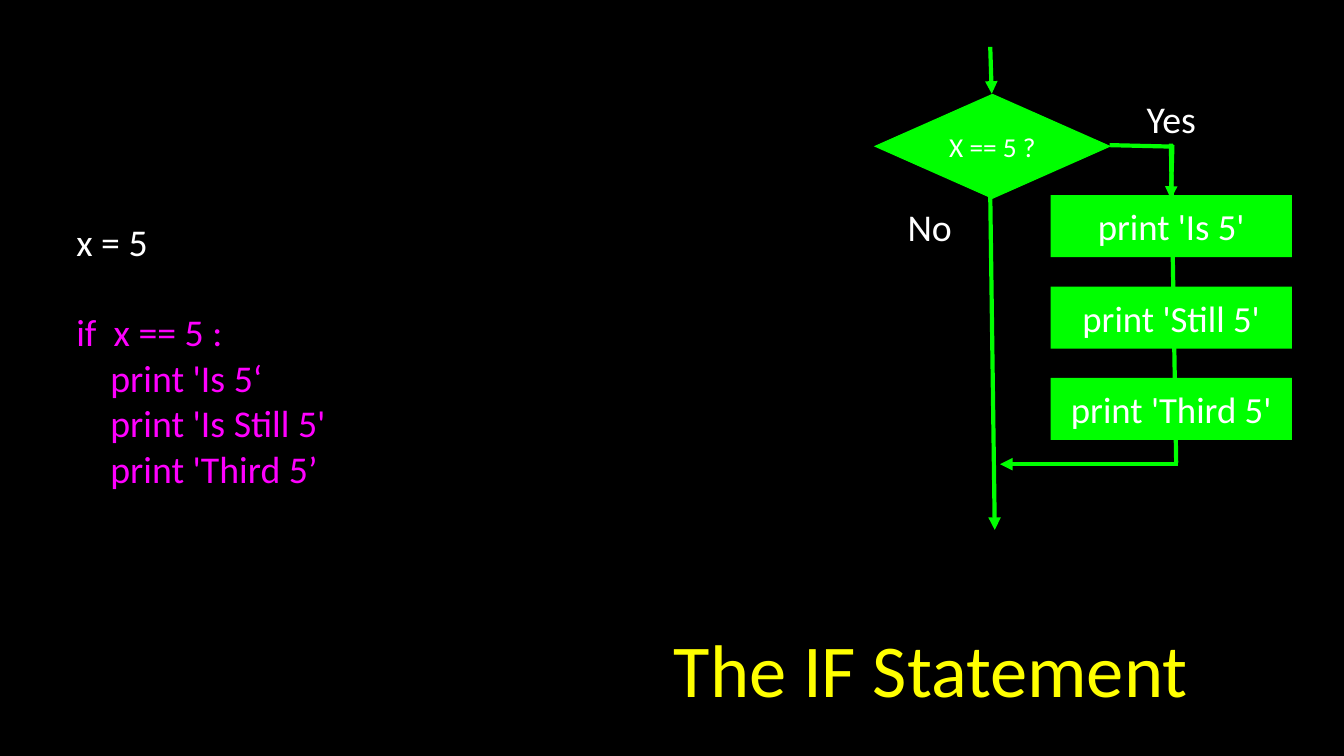
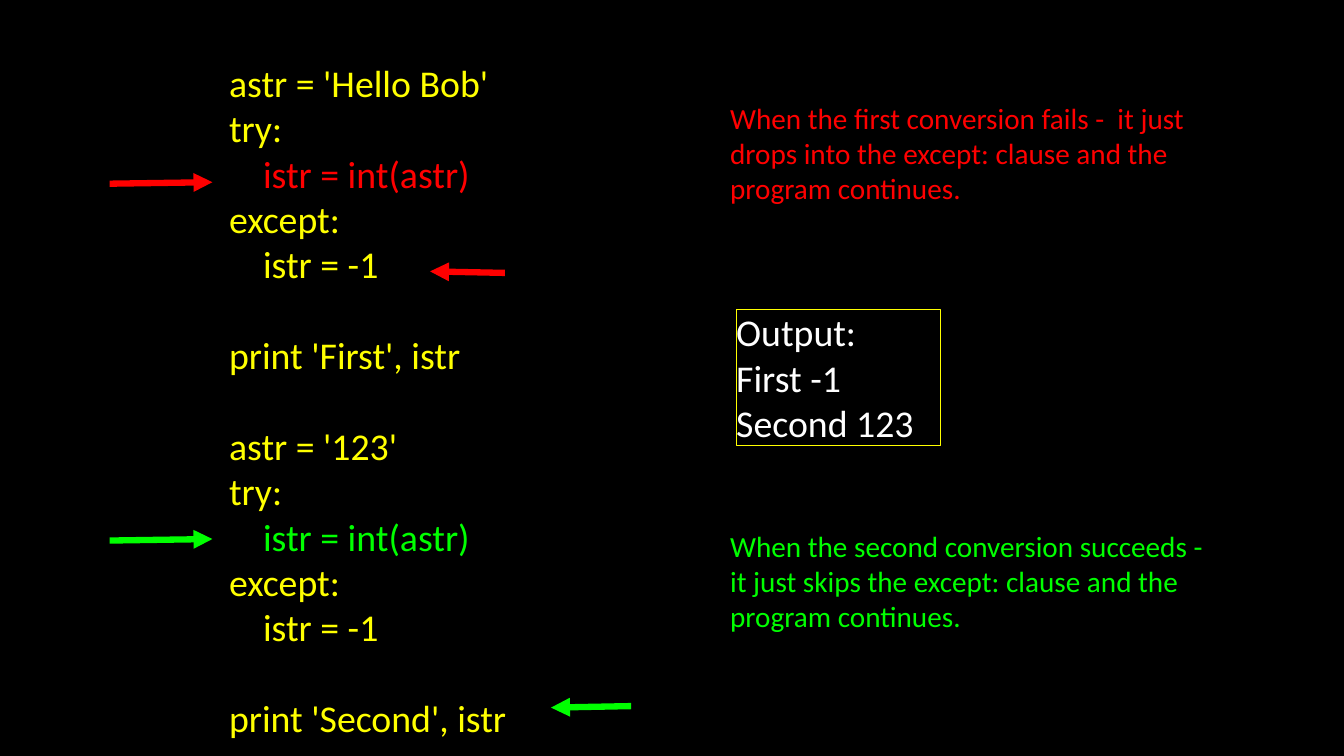
import pptx
import pptx.util
import pptx.dml.color
import pptx.enum.shapes
import pptx.enum.text
import pptx.oxml
import pptx.oxml.ns
from lxml import etree

PX = 9144
FONT = "Calibri"
CODE_SIZE = 36
NOTE_SIZE = 27.8
LINE_PITCH = 43.2
CODE_INDENT = 45

BLACK = pptx.dml.color.RGBColor(0, 0, 0)
WHITE = pptx.dml.color.RGBColor(255, 255, 255)
YELLOW = pptx.dml.color.RGBColor(255, 255, 0)
MAGENTA = pptx.dml.color.RGBColor(255, 0, 255)
GREEN = pptx.dml.color.RGBColor(0, 255, 0)
RED = pptx.dml.color.RGBColor(255, 0, 0)

SHAPES = pptx.enum.shapes.MSO_SHAPE
ANCHOR = pptx.enum.text.MSO_ANCHOR
ALIGN = pptx.enum.text.PP_ALIGN


def emu(*lengths):
    """Turn px lengths into EMU."""
    return [pptx.util.Emu(length * PX) for length in lengths]


def black_slide(deck):
    """Add a blank slide with the shared black background."""
    slide = deck.slides.add_slide(deck.slide_layouts[6])
    slide.background.fill.solid()
    slide.background.fill.fore_color.rgb = BLACK
    return slide


def write(shape, lines, size, align=ALIGN.LEFT, anchor=ANCHOR.MIDDLE, inset=0):
    """Fill a shape with (text, colour, indent level, blank lines before) lines."""
    frame = shape.text_frame
    frame.word_wrap = True
    frame.vertical_anchor = anchor
    frame.margin_left, frame.margin_top, frame.margin_right, frame.margin_bottom = emu(*[inset] * 4)
    for number, (text, color, level, gap) in enumerate(lines):
        paragraph = frame.add_paragraph() if number else frame.paragraphs[0]
        paragraph.alignment = align
        if level:
            paragraph._p.get_or_add_pPr().set("marL", str(level * CODE_INDENT * PX))
        if gap:
            paragraph.space_before = pptx.util.Pt(gap * LINE_PITCH)
        run = paragraph.add_run()
        run.text = text
        run.font.name = FONT
        run.font.size = pptx.util.Pt(size)
        run.font.color.rgb = color


def add_text(slide, box, lines, size, **layout):
    """Add a text box holding the given lines."""
    write(slide.shapes.add_textbox(*emu(*box)), lines, size, **layout)


def add_block(slide, kind, box, fill=None, outline=None):
    """Add a preset shape with an optional fill and outline."""
    block = slide.shapes.add_shape(kind, *emu(*box))
    block.shadow.inherit = False
    if fill is None:
        block.fill.background()
    else:
        block.fill.solid()
        block.fill.fore_color.rgb = fill
    if outline is None:
        block.line.fill.background()
    else:
        block.line.color.rgb = outline
        block.line.width = pptx.util.Pt(1)
    return block


def add_line(slide, origin, tip, tail, color, width, arrow=True):
    """Draw a line between two points of a region, with an arrowhead at the tip."""
    left, top = origin
    ends = emu(left + tip[0], top + tip[1], left + tail[0], top + tail[1])
    line = slide.shapes.add_connector(pptx.enum.shapes.MSO_CONNECTOR.STRAIGHT, *ends)
    line.line.color.rgb = color
    line.line.width = pptx.util.Pt(width)
    if arrow:
        head = etree.SubElement(line.line._get_or_add_ln(), pptx.oxml.ns.qn("a:headEnd"))
        head.set("type", "triangle")
    etree.SubElement(line._element.spPr, pptx.oxml.ns.qn("a:effectLst"))


def flowchart(slide, left, top):
    """Draw the decision, its two branches and the three print steps."""
    origin = (left, top)
    flows = [
        ((156, 62), (154, 0), True),
        ((160, 639), (154, 195), True),
        ((397, 132), (312, 130), False),
        ((393, 201), (395, 130), True),
        ((393, 128), (400, 550), False),
        ((167, 552), (402, 552), True),
    ]
    for tip, tail, arrow in flows:
        add_line(slide, origin, tip, tail, GREEN, 4, arrow)

    decision = add_block(slide, SHAPES.DIAMOND, (left, top + 62, 314, 139), GREEN)
    write(decision, [("X == 5 ?", WHITE, 0, 0)], 26, ALIGN.CENTER)
    for row, statement in enumerate(["print 'Is 5'", "print 'Still 5'", "print 'Third 5'"]):
        step = add_block(slide, SHAPES.RECTANGLE, (left + 234, top + 196 + 121 * row, 319, 82), GREEN)
        write(step, [(statement, WHITE, 0, 0)], 35, ALIGN.CENTER)
    for answer, x, y, width in [("Yes", 353, 64, 81), ("No", 40, 207, 68)]:
        add_text(slide, (left + x, top + y, width, 60), [(answer, WHITE, 0, 0)],
                 CODE_SIZE, align=ALIGN.CENTER)


def try_except_code(slide, left, top):
    """Write the two try blocks and the arrows that mark the executed lines."""
    code = []
    for value, label, color, gap in [("'Hello Bob'", "First", RED, 0), ("'123'", "Second", GREEN, 1)]:
        code += [
            (f"astr = {value}", YELLOW, 0, gap),
            ("try:", YELLOW, 0, 0),
            ("istr = int(astr)", color, 1, 0),
            ("except:", YELLOW, 0, 0),
            ("istr = -1", YELLOW, 1, 0),
            (f"print '{label}', istr", YELLOW, 0, 1),
        ]
    add_text(slide, (left + 158, top, 422, 960), code, CODE_SIZE, anchor=ANCHOR.BOTTOM)

    executed = [
        ((136, 222), (0, 224), RED),
        ((424, 340), (523, 342), RED),
        ((136, 694), (0, 696), GREEN),
        ((584, 917), (690, 915), GREEN),
    ]
    for tip, tail, color in executed:
        add_line(slide, (left, top), tip, tail, color, 6)


def outcome_column(slide, left, top):
    """Place the two explanations around the program output."""
    notes = [
        (0, "When the first conversion fails -  it just drops into the except: "
            "clause and the program continues.", RED),
        (566, "When the second conversion succeeds -  it just skips the except: "
              "clause and the program continues.", GREEN),
    ]
    for y, note, color in notes:
        add_text(slide, (left, top + y, 644, 157), [(note, color, 0, 0)], NOTE_SIZE)
    output = add_block(slide, SHAPES.RECTANGLE, (left + 8, top + 285, 270, 180), outline=YELLOW)
    write(output, [(text, WHITE, 0, 0) for text in ("Output:", "First -1", "Second 123")], CODE_SIZE)


def if_statement_slide(deck):
    """Build the slide on the if statement."""
    slide = black_slide(deck)
    add_text(slide, (713, 757, 1037, 251), [("The IF Statement", YELLOW, 0, 0)], 71,
             align=ALIGN.CENTER, inset=4)
    code = [
        ("x = 5", WHITE, 0, 0),
        ("if  x == 5 :", MAGENTA, 0, 1),
        ("print 'Is 5‘", MAGENTA, 1, 0),
        ("print 'Is Still 5'", MAGENTA, 1, 0),
        ("print 'Third 5’", MAGENTA, 1, 0),
    ]
    add_text(slide, (101, 289, 1135, 420), code, CODE_SIZE, anchor=ANCHOR.TOP)
    flowchart(slide, 1156, 62)


def try_except_slide(deck):
    """Build the slide on try and except."""
    slide = black_slide(deck)
    try_except_code(slide, 145, 19)
    outcome_column(slide, 966, 124)


def main():
    """Build and save the deck."""
    deck = pptx.Presentation()
    deck.slide_width, deck.slide_height = emu(1778, 1000)
    if_statement_slide(deck)
    try_except_slide(deck)
    deck.save("out.pptx")


if __name__ == "__main__":
    main()
